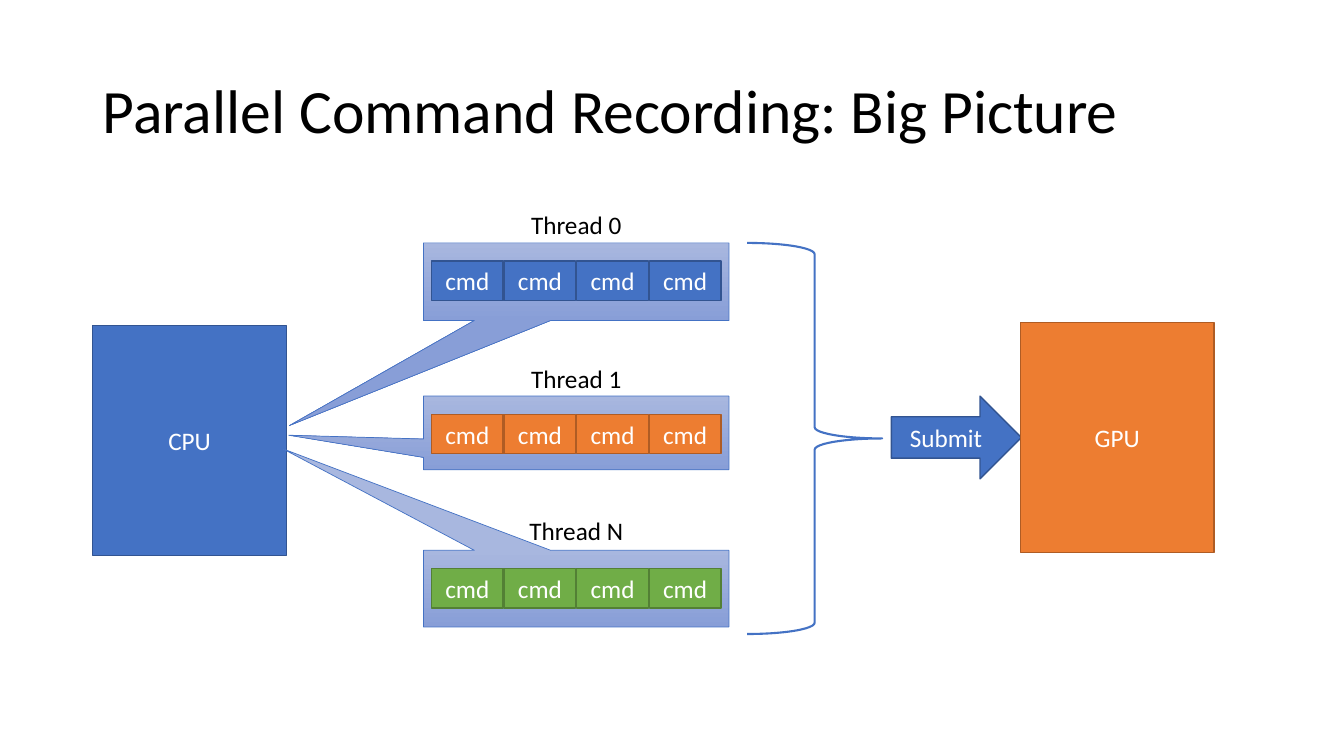
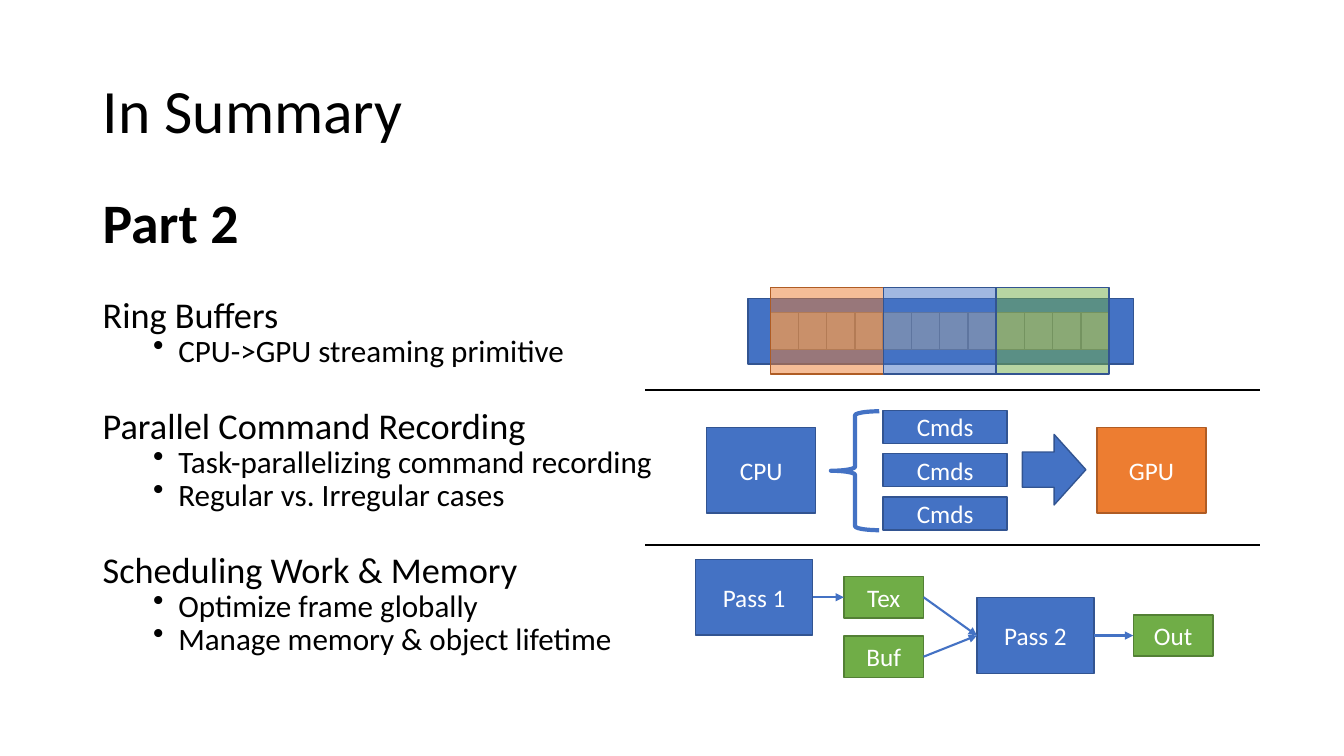
"""Build two slides on parallel command recording and its summary."""
from dataclasses import dataclass

from lxml.etree import SubElement
from pptx import Presentation
from pptx.dml.color import RGBColor
from pptx.enum.shapes import MSO_CONNECTOR, MSO_SHAPE
from pptx.enum.text import MSO_ANCHOR, PP_ALIGN
from pptx.oxml.ns import qn
from pptx.shapes.autoshape import Shape
from pptx.shapes.connector import Connector
from pptx.slide import Slide
from pptx.util import Inches, Pt

FONT = "Calibri"
BLACK = RGBColor(0x00, 0x00, 0x00)
WHITE = RGBColor(0xFF, 0xFF, 0xFF)
BLUE = RGBColor(0x44, 0x72, 0xC4)
CALLOUT_TOP = RGBColor(0xA8, 0xB7, 0xDF)
CALLOUT_BOTTOM = RGBColor(0x88, 0x9E, 0xD7)
RIGHT_SITE, LEFT_SITE = 3, 1


@dataclass(frozen=True)
class Style:
    """Fill and outline colours of a box."""
    fill: RGBColor
    line: RGBColor


BLUE_STYLE = Style(BLUE, RGBColor(0x32, 0x54, 0x91))
ORANGE_STYLE = Style(RGBColor(0xED, 0x7D, 0x31), RGBColor(0xAF, 0x5C, 0x24))
GREEN_STYLE = Style(RGBColor(0x70, 0xAD, 0x47), RGBColor(0x53, 0x80, 0x35))
GRAY_STYLE = Style(RGBColor(0xA5, 0xA5, 0xA5), RGBColor(0x7A, 0x7A, 0x7A))
GREEN_FRAME_STYLE = Style(GREEN_STYLE.fill, BLUE_STYLE.line)


@dataclass(frozen=True)
class Area:
    """Position and size in inches."""
    left: float
    top: float
    width: float
    height: float

    def lengths(self) -> tuple[Inches, Inches, Inches, Inches]:
        """Return the four values as lengths."""
        return (Inches(self.left), Inches(self.top),
                Inches(self.width), Inches(self.height))


@dataclass(frozen=True)
class Thread:
    """A recording thread with its callout and commands."""
    label: str
    label_top: float
    top: float
    height: float
    tip: tuple[float, float]
    style: Style


@dataclass(frozen=True)
class Entry:
    """A line of the summary text."""
    text: str
    size: float
    space_before: float
    bullet: bool = False
    bold: bool = False


TITLE_AREA = Area(0.92, 0.4, 11.5, 1.45)
THREADS = (
    Thread("Thread 0", 2.03, 2.41, 0.77, (-0.939, 1.854), BLUE_STYLE),
    Thread("Thread 1", 3.56, 3.93, 0.73, (-0.941, 0.032), ORANGE_STYLE),
    Thread("Thread N", 5.06, 5.46, 0.76, (-0.96, -1.825), GREEN_STYLE),
)
ENTRIES = (
    Entry("Part 2", 39.8, 10, bold=True),
    Entry("Ring Buffers", 25.9, 36),
    Entry("CPU->GPU streaming primitive", 22.2, 5, bullet=True),
    Entry("Parallel Command Recording", 25.9, 34),
    Entry("Task-parallelizing command recording", 22.2, 5, bullet=True),
    Entry("Regular vs. Irregular cases", 22.2, 5, bullet=True),
    Entry("Scheduling Work & Memory", 25.9, 34),
    Entry("Optimize frame globally", 22.2, 5, bullet=True),
    Entry("Manage memory & object lifetime", 22.2, 5, bullet=True),
)


def format_text(paragraph, size: float, color: RGBColor, bold: bool = False) -> None:
    """Set the font of every run in a paragraph."""
    for span in paragraph.runs:
        span.font.name = FONT
        span.font.size = Pt(size)
        span.font.bold = bold
        span.font.color.rgb = color


def add_text(page: Slide, area: Area, text: str, size: float) -> Shape:
    """Add a wrapping text box in black."""
    box = page.shapes.add_textbox(*area.lengths())
    box.text_frame.word_wrap = True
    box.text_frame.text = text
    format_text(box.text_frame.paragraphs[0], size, BLACK)
    return box


def add_title(page: Slide, text: str) -> None:
    """Add the slide title."""
    frame = add_text(page, TITLE_AREA, text, 44).text_frame
    frame.vertical_anchor = MSO_ANCHOR.MIDDLE
    frame.paragraphs[0].line_spacing = 0.9


def add_box(page: Slide, area: Area, style: Style, text: str = "",
            kind: MSO_SHAPE = MSO_SHAPE.RECTANGLE) -> Shape:
    """Add a filled shape with centred white text."""
    box = page.shapes.add_shape(kind, *area.lengths())
    box.shadow.inherit = False
    box.fill.solid()
    box.fill.fore_color.rgb = style.fill
    box.line.color.rgb = style.line
    box.line.width = Pt(1)
    if text:
        frame = box.text_frame
        frame.text = text
        frame.vertical_anchor = MSO_ANCHOR.MIDDLE
        frame.paragraphs[0].alignment = PP_ALIGN.CENTER
        format_text(frame.paragraphs[0], 18, WHITE)
    return box


def add_translucent_box(page: Slide, area: Area, style: Style) -> None:
    """Add a half-transparent rectangle."""
    box = add_box(page, area, style)
    color = box.fill._xPr.find(qn("a:solidFill"))[0]
    SubElement(color, qn("a:alpha"), val="50000")


def add_brace(page: Slide, area: Area, weight: float, rotation: float = 0) -> None:
    """Add an unfilled brace that points right before rotation."""
    brace = page.shapes.add_shape(MSO_SHAPE.RIGHT_BRACE, *area.lengths())
    brace.shadow.inherit = False
    brace.fill.background()
    brace.line.color.rgb = BLUE
    brace.line.width = Pt(weight)
    brace.rotation = rotation


def add_line(page: Slide, start: tuple[float, float], end: tuple[float, float],
             color: RGBColor) -> Connector:
    """Add a straight line without a shadow."""
    points = [Inches(value) for value in (*start, *end)]
    line = page.shapes.add_connector(MSO_CONNECTOR.STRAIGHT, *points)
    line.line.color.rgb = color
    line.line.width = Pt(1.5)
    SubElement(line._element.spPr, qn("a:effectLst"))
    return line


def link(page: Slide, source: Shape, target: Shape) -> None:
    """Draw an arrow from the right of one box to the left of another."""
    arrow = add_line(page, (0, 0), (1, 1), BLUE)
    arrow.begin_connect(source, RIGHT_SITE)
    arrow.end_connect(target, LEFT_SITE)
    SubElement(arrow.line._get_or_add_ln(), qn("a:tailEnd"), type="triangle")


def add_callout(page: Slide, thread: Thread) -> None:
    """Add the gradient callout behind a thread's commands."""
    area = Area(4.2, thread.top, 3.03, thread.height)
    callout = page.shapes.add_shape(MSO_SHAPE.RECTANGULAR_CALLOUT, *area.lengths())
    callout.shadow.inherit = False
    callout.adjustments[0], callout.adjustments[1] = thread.tip
    callout.fill.gradient()
    callout.fill.gradient_angle = 270
    for stop, color in zip(callout.fill.gradient_stops, (CALLOUT_TOP, CALLOUT_BOTTOM)):
        stop.color.rgb = color
    callout.line.color.rgb = BLUE
    callout.line.width = Pt(0.5)


def add_thread(page: Slide, thread: Thread) -> None:
    """Add a callout with a row of four commands and its label."""
    add_callout(page, thread)
    for column in range(4):
        area = Area(4.28 + 0.72 * column, thread.top + 0.18, 0.71, 0.39)
        add_box(page, area, thread.style, "cmd")
    label = add_text(page, Area(4.2, thread.label_top, 3.03, 0.4), thread.label, 18)
    label.text_frame.paragraphs[0].alignment = PP_ALIGN.CENTER


def build_big_picture(page: Slide) -> None:
    """Draw the flow from CPU threads to the GPU."""
    add_title(page, "Parallel Command Recording: Big Picture")
    add_box(page, Area(0.92, 3.23, 1.92, 2.28), BLUE_STYLE, "CPU")
    for thread in THREADS:
        add_thread(page, thread)
    add_brace(page, Area(7.41, 2.41, 1.34, 3.88), 1.5)
    add_box(page, Area(8.84, 3.93, 1.29, 0.82), BLUE_STYLE, "Submit", MSO_SHAPE.RIGHT_ARROW)
    add_box(page, Area(10.12, 3.2, 1.92, 2.28), ORANGE_STYLE, "GPU")


def add_entries(page: Slide) -> None:
    """Add the summary text with its bullets."""
    frame = add_text(page, Area(0.92, 2, 11.5, 4.76), "", 18).text_frame
    for index, entry in enumerate(ENTRIES):
        paragraph = frame.add_paragraph() if index else frame.paragraphs[0]
        paragraph.text = entry.text
        paragraph.line_spacing = 0.7
        paragraph.space_before = Pt(entry.space_before)
        format_text(paragraph, entry.size, BLACK, entry.bold)
        if entry.bullet:
            paragraph.level = 1
            properties = paragraph._p.get_or_add_pPr()
            properties.set("marL", str(Inches(0.75)))
            properties.set("indent", str(Inches(-0.25)))
            SubElement(properties, qn("a:buChar"), char="•")


def draw_ring_buffer(page: Slide) -> None:
    """Draw the buffer, its cells and three frames over them."""
    add_box(page, Area(7.42, 2.96, 3.82, 0.65), BLUE_STYLE)
    for cell in range(12):
        add_box(page, Area(7.64 + 0.28 * cell, 3.1, 0.28, 0.37), GRAY_STYLE)
    for index, style in enumerate((ORANGE_STYLE, BLUE_STYLE, GREEN_FRAME_STYLE)):
        add_translucent_box(page, Area(7.64 + 1.12 * index, 2.85, 1.12, 0.86), style)


def draw_recording(page: Slide) -> None:
    """Draw the small CPU to GPU recording diagram."""
    add_box(page, Area(7.01, 4.24, 1.08, 0.85), BLUE_STYLE, "CPU")
    add_brace(page, Area(8.24, 4.08, 0.48, 1.18), 3, 180)
    for row in range(3):
        add_box(page, Area(8.76, 4.07 + 0.43 * row, 1.23, 0.33), BLUE_STYLE, "Cmds")
    add_box(page, Area(10.14, 4.31, 0.63, 0.7), BLUE_STYLE, kind=MSO_SHAPE.RIGHT_ARROW)
    add_box(page, Area(10.88, 4.24, 1.08, 0.85), ORANGE_STYLE, "GPU")


def draw_schedule(page: Slide) -> None:
    """Draw the passes and the resources between them."""
    first, second = (add_box(page, Area(left, top, 1.16, 0.75), BLUE_STYLE, text)
                     for text, left, top in (("Pass 1", 6.9, 5.55), ("Pass 2", 9.69, 5.93)))
    texture, buffer, output = (
        add_box(page, Area(left, top, 0.79, 0.41), GREEN_STYLE, text)
        for text, left, top in (("Tex", 8.37, 5.72), ("Buf", 8.37, 6.31), ("Out", 11.24, 6.1)))
    for source, target in ((first, texture), (texture, second),
                           (buffer, second), (second, output)):
        link(page, source, target)


def build_summary(page: Slide) -> None:
    """Draw the summary text beside its three diagrams."""
    add_title(page, "In Summary")
    add_entries(page)
    draw_ring_buffer(page)
    draw_recording(page)
    draw_schedule(page)
    for height in (3.87, 5.41):
        add_line(page, (6.4, height), (12.5, height), BLACK)


def main() -> None:
    """Build and save the deck."""
    deck = Presentation()
    deck.slide_width, deck.slide_height = Inches(13.33), Inches(7.5)
    for build in (build_big_picture, build_summary):
        build(deck.slides.add_slide(deck.slide_layouts[6]))
    deck.save("out.pptx")


if __name__ == "__main__":
    main()
